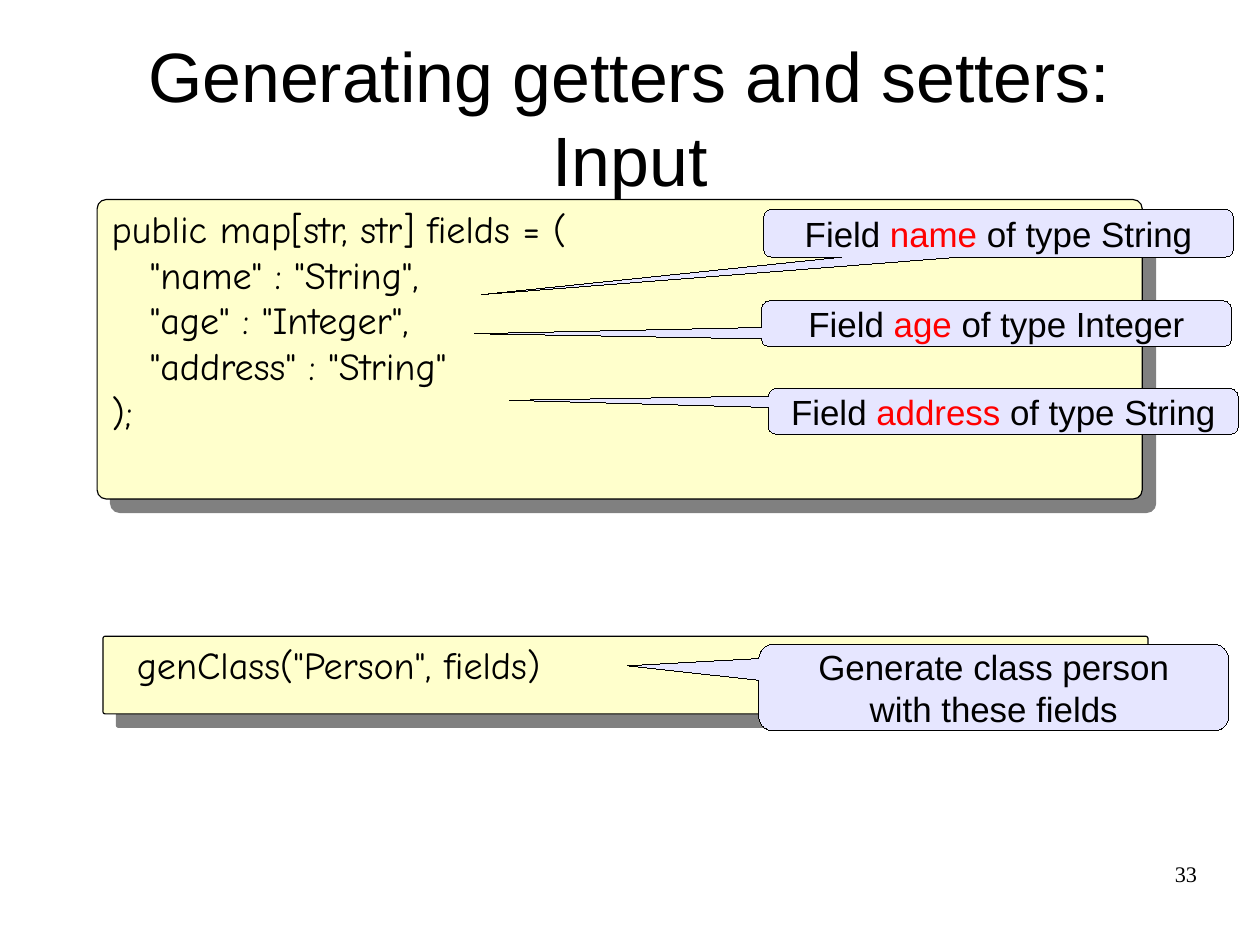
from dataclasses import dataclass
import lxml.etree
import pptx
import pptx.util
import pptx.dml.color
import pptx.enum.shapes
import pptx.enum.text
import pptx.oxml.ns
import pptx.shapes.autoshape
import pptx.shapes.base
import pptx.slide
import pptx.text.text

RGB = pptx.dml.color.RGBColor
KIND = pptx.enum.shapes.MSO_SHAPE
ALIGN = pptx.enum.text.PP_ALIGN
ANCHOR = pptx.enum.text.MSO_ANCHOR

BLACK = RGB(0x00, 0x00, 0x00)
RED = RGB(0xFF, 0x00, 0x00)
CREAM = RGB(0xFF, 0xFF, 0xCC)
LILAC = RGB(0xE6, 0xE6, 0xFF)
GREY = RGB(0x80, 0x80, 0x80)

WIDE = pptx.util.Cm(28)
HIGH = pptx.util.Cm(21)
HAIR = 0.01

TITLE = {"name": "Arial", "size": pptx.util.Pt(44)}
CODE = {"name": "Comic Neue", "size": pptx.util.Pt(24)}
LABEL = {"name": "Arial", "size": pptx.util.Pt(22)}
PAGE = {"name": "Times New Roman", "size": pptx.util.Pt(14)}
BARE = {"margin_left": 0, "margin_top": 0, "margin_right": 0, "margin_bottom": 0}

Run = tuple[str, RGB]
Line = list[Run]


@dataclass
class Box:
    """A frame in percent of the slide's width and height."""
    left: float
    top: float
    width: float
    height: float

    def frame(self) -> tuple[int, int, int, int]:
        return (int(WIDE * self.left / 100), int(HIGH * self.top / 100),
                int(WIDE * self.width / 100), int(HIGH * self.height / 100))


@dataclass
class Panel:
    box: Box
    code_box: Box
    code: list[str]


@dataclass
class Callout:
    box: Box
    tip: tuple[float, float]
    lines: list[Line]


def field_line(name: str, kind: str) -> Line:
    return [("Field ", BLACK), (name, RED), (f" of type {kind}", BLACK)]


PANELS = [
    Panel(Box(7.71, 21.12, 82.94, 31.68), Box(7.97, 21.12, 49.55, 29.26), [
        "public map[str, str] fields = (",
        '   "name" : "String",',
        '   "age" : "Integer",',
        '   "address" : "String"',
        ");",
    ]),
    Panel(Box(8.17, 67.33, 82.94, 8.22), Box(9.96, 67.33, 41.11, 6.77),
          ['genClass("Person", fields)']),
]
CALLOUTS = [
    Callout(Box(60.6, 22.13, 37.3, 5.08), (-1.1, 1.28),
            [field_line("name", "String")]),
    Callout(Box(60.44, 31.84, 37.3, 4.84), (-1.11, 0.22),
            [field_line("age", "Integer")]),
    Callout(Box(60.98, 41.11, 37.3, 4.84), (-1.05, -0.24),
            [field_line("address", "String")]),
    Callout(Box(60.22, 68.16, 37.3, 9.19), (-0.78, -0.25),
            [[("Generate class person", BLACK)], [("with these fields", BLACK)]]),
]


def set_all(item: object, values: dict[str, object]) -> None:
    for key, value in values.items():
        setattr(item, key, value)


def write(frame: pptx.text.text.TextFrame, lines: list[Line],
          font: dict[str, object], align: ALIGN) -> None:
    for i, line in enumerate(lines):
        para = frame.add_paragraph() if i else frame.paragraphs[0]
        para.alignment = align
        for text, color in line:
            run = para.add_run()
            run.text = text
            set_all(run.font, font)
            run.font.color.rgb = color


def add_text(slide: pptx.slide.Slide, box: Box, lines: list[str],
             font: dict[str, object], align: ALIGN = ALIGN.LEFT,
             **form: object) -> None:
    frame = slide.shapes.add_textbox(*box.frame()).text_frame
    set_all(frame, {"word_wrap": True} | form)
    write(frame, [[(line, BLACK)] for line in lines], font, align)


def add_block(slide: pptx.slide.Slide, kind: KIND, box: Box, fill: RGB,
              weight: float, adjust: list[float]) -> pptx.shapes.autoshape.Shape:
    shape = slide.shapes.add_shape(kind, *box.frame())
    shape.shadow.inherit = False
    shape.fill.solid()
    shape.fill.fore_color.rgb = fill
    shape.line.color.rgb = BLACK
    shape.line.width = pptx.util.Pt(weight)
    for i, value in enumerate(adjust):
        shape.adjustments[i] = value
    return shape


def add_shade(shape: pptx.shapes.base.BaseShape) -> None:
    """Cast a hard grey shadow down and to the right."""
    qn = pptx.oxml.ns.qn
    effects = shape.element.spPr.find(qn("a:effectLst"))
    shade = lxml.etree.SubElement(
        effects, qn("a:outerShdw"), blurRad="0", dist=str(pptx.util.Pt(12)),
        dir=str(45 * 60000), algn="tl", rotWithShape="0")
    lxml.etree.SubElement(shade, qn("a:srgbClr"), val=str(GREY))


def add_panel(slide: pptx.slide.Slide, panel: Panel) -> None:
    add_shade(add_block(slide, KIND.ROUNDED_RECTANGLE, panel.box, CREAM,
                        0.75, [0.03]))
    add_text(slide, panel.code_box, panel.code, CODE)


def add_callout(slide: pptx.slide.Slide, call: Callout) -> None:
    shape = add_block(slide, KIND.ROUNDED_RECTANGULAR_CALLOUT, call.box, LILAC,
                      HAIR, [*call.tip, 0.17])
    set_all(shape.text_frame, {"word_wrap": False,
                               "vertical_anchor": ANCHOR.MIDDLE})
    write(shape.text_frame, call.lines, LABEL, ALIGN.CENTER)


def add_title(slide: pptx.slide.Slide, box: Box, text: str) -> None:
    title = slide.shapes.title
    sides = ("left", "top", "width", "height")
    set_all(title, dict(zip(sides, box.frame())))
    set_all(title.text_frame, BARE | {"word_wrap": True,
                                      "vertical_anchor": ANCHOR.MIDDLE})
    write(title.text_frame, [[(text, BLACK)]], TITLE, ALIGN.CENTER)


def main() -> None:
    deck = pptx.Presentation()
    deck.slide_width = WIDE
    deck.slide_height = HIGH
    slide = deck.slides.add_slide(deck.slide_layouts.get_by_name("Title Only"))
    add_title(slide, Box(5, 2.25, 90, 20.19), "Generating getters and setters: Input")
    for panel in PANELS:
        add_panel(slide, panel)
    for call in CALLOUTS:
        add_callout(slide, call)
    add_text(slide, Box(71.69, 91.05, 23.32, 6.89), ["33"], PAGE,
             ALIGN.RIGHT, **BARE)
    deck.save("out.pptx")


if __name__ == "__main__":
    main()
